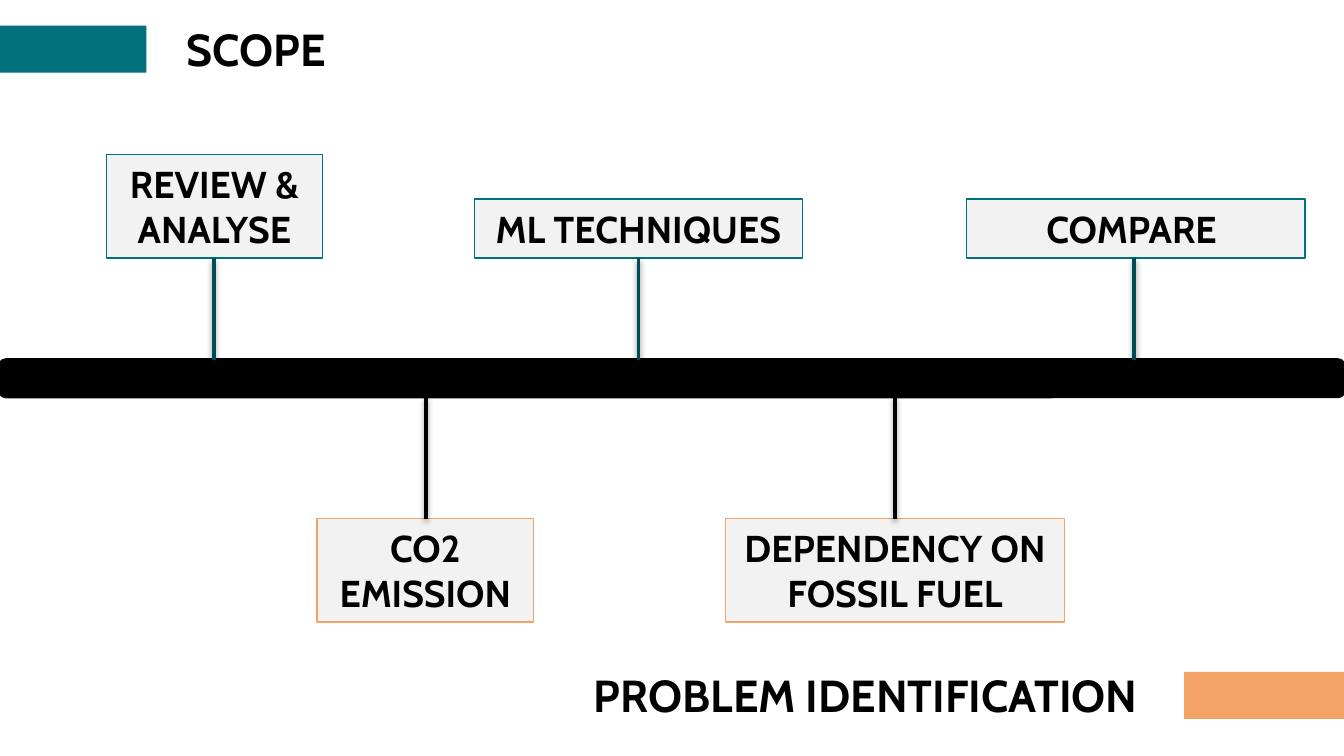
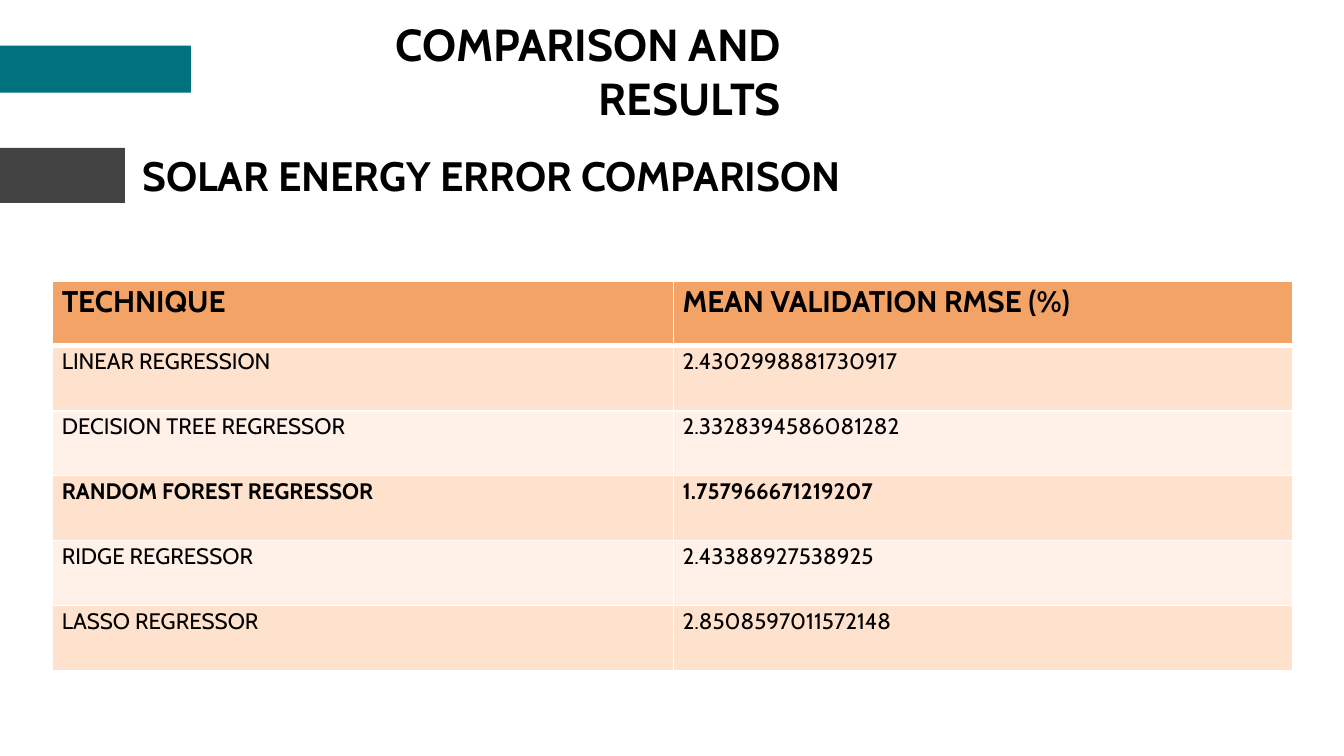
from lxml import etree
from pptx import Presentation
from pptx.dml.color import RGBColor
from pptx.enum.shapes import MSO_CONNECTOR, MSO_SHAPE
from pptx.enum.text import MSO_ANCHOR, MSO_AUTO_SIZE, PP_ALIGN
from pptx.oxml import parse_xml
from pptx.oxml.ns import nsdecls, qn
from pptx.util import Pt

PX = 9144  # 100 px to the inch
FONT = "Cabin"
C = {
    "black": "000000", "white": "FFFFFF", "teal": "00717D",
    "dark_teal": "004C54", "orange": "F2A365", "gray": "434343",
    "box": "F2F2F2", "band": "FFE2CE", "light_band": "FFF1E8",
}


def block(s, box, fill, line=None, width=0.75, kind=MSO_SHAPE.RECTANGLE):
    sp = s.shapes.add_shape(kind, *[v * PX for v in box])
    sp.shadow.inherit = False
    sp.fill.solid()
    sp.fill.fore_color.rgb = RGBColor.from_string(C[fill])
    if line:
        sp.line.color.rgb = RGBColor.from_string(C[line])
        sp.line.width = Pt(width)
    else:
        sp.line.fill.background()
    return sp


def write(sp, text, size, align, box=None, inset=(10, 5), bold=True):
    """Fill a shape, placeholder or table cell with one formatted run."""
    if box:
        sp.left, sp.top, sp.width, sp.height = [v * PX for v in box]
    tf = sp.text_frame
    if hasattr(sp, "shape_type"):
        tf.word_wrap = True
        tf.auto_size = MSO_AUTO_SIZE.NONE
        tf.vertical_anchor = MSO_ANCHOR.MIDDLE
        holder = tf
    else:
        holder = sp
    holder.margin_left = holder.margin_right = inset[0] * PX
    holder.margin_top = holder.margin_bottom = inset[1] * PX
    p = tf.paragraphs[0]
    p.alignment = align
    r = p.add_run()
    r.text = text
    r.font.name = FONT
    r.font.size = Pt(size)
    r.font.bold = bold
    r.font.color.rgb = RGBColor.from_string(C["black"])
    return p


prs = Presentation()
prs.slide_width = 1000 * PX
prs.slide_height = prs.slide_width * 9 // 16
title_only = prs.slide_layouts[5]

# Slide 1: timeline with scope above and problems below
s = prs.slides.add_slide(title_only)
bar_top, bar_bottom = 268, 295
block(s, (0, bar_top, 1000, bar_bottom - bar_top), "black", "black", 2,
      MSO_SHAPE.ROUNDED_RECTANGLE)
write(s.shapes.title, "SCOPE", 24, PP_ALIGN.LEFT, (129, 11, 1000, 50))
block(s, (0, 19, 109, 35), "teal")
problem = s.shapes.add_textbox(0, 0, PX, PX)
write(problem, "PROBLEM IDENTIFICATION", 24, PP_ALIGN.LEFT, (432, 492, 468, 50))
block(s, (881, 500, 119, 35), "orange")

# Timeline boxes, each joined to the bar by a stem
stages = [
    ("REVIEW & ANALYSE", (79, 115, 161, 77), 159),
    ("ML TECHNIQUES", (353, 148, 244, 44), 475),
    ("COMPARE ", (719, 148, 252, 44), 844),
    ("CO2 EMISSION", (236, 386, 161, 77), 317),
    ("DEPENDENCY ON FOSSIL FUEL", (540, 386, 252, 77), 666),
]
for text, (x, y, w, h), stem_x in stages:
    above = y < bar_top
    sp = block(s, (x, y, w, h), "box", "teal" if above else "orange")
    write(sp, text, 20, PP_ALIGN.CENTER)
    start, end = (y + h, bar_top) if above else (bar_bottom, y)
    stem = s.shapes.add_connector(MSO_CONNECTOR.STRAIGHT, stem_x * PX, start * PX,
                                  stem_x * PX, end * PX)
    stem.line.color.rgb = RGBColor.from_string(C["dark_teal" if above else "black"])
    stem.line.width = Pt(2)
    stem._element.spPr.append(parse_xml(
        f'<a:effectLst {nsdecls("a")}><a:outerShdw blurRad="40000" dist="20000" '
        'dir="5400000" rotWithShape="0"><a:srgbClr val="000000">'
        '<a:alpha val="38000"/></a:srgbClr></a:outerShdw></a:effectLst>'))

# Slide 2: results table
s = prs.slides.add_slide(title_only)
write(s.shapes.title, "COMPARISON AND RESULTS", 24, PP_ALIGN.RIGHT,
      (142, 29, 449, 47), (10, 10))
block(s, (0, 110, 93, 41), "gray")
block(s, (0, 34, 142, 35), "teal")
subtitle = s.shapes.add_textbox(0, 0, PX, PX)
write(subtitle, "SOLAR ENERGY ERROR COMPARISON", 22, PP_ALIGN.RIGHT,
      (46, 107, 589, 47), (10, 10))

rows = [
    ("TECHNIQUE", "MEAN VALIDATION RMSE (%)"),
    ("LINEAR REGRESSION", "2.4302998881730917"),
    ("DECISION TREE REGRESSOR", "2.3328394586081282"),
    ("RANDOM FOREST REGRESSOR", "1.757966671219207"),
    ("RIDGE REGRESSOR", "2.43388927538925"),
    ("LASSO REGRESSOR", "2.8508597011572148"),
]
best = 3
table = s.shapes.add_table(len(rows), 2, 39 * PX, 209 * PX, 923 * PX, 290 * PX).table
table.columns[0].width, table.columns[1].width = 462 * PX, 461 * PX
for i, row in enumerate(rows):
    fill = "orange" if i == 0 else "band" if i % 2 else "light_band"
    for j, text in enumerate(row):
        cell = table.cell(i, j)
        p = write(cell, text, 12 if i else 16, PP_ALIGN.JUSTIFY,
                  inset=(7, 0), bold=i in (0, best))
        p.line_spacing = 1.07
        p.space_after = Pt(8)
        # White borders, thicker under the header
        tcPr = cell._tc.get_or_add_tcPr()
        for side in "LRTB":
            thick = (i, side) in ((0, "B"), (1, "T"))
            ln = etree.SubElement(tcPr, qn(f"a:ln{side}"), w=str(Pt(3 if thick else 1)))
            solid = etree.SubElement(ln, qn("a:solidFill"))
            etree.SubElement(solid, qn("a:srgbClr"), val=C["white"])
        cell.fill.solid()
        cell.fill.fore_color.rgb = RGBColor.from_string(C[fill])

prs.save("out.pptx")
